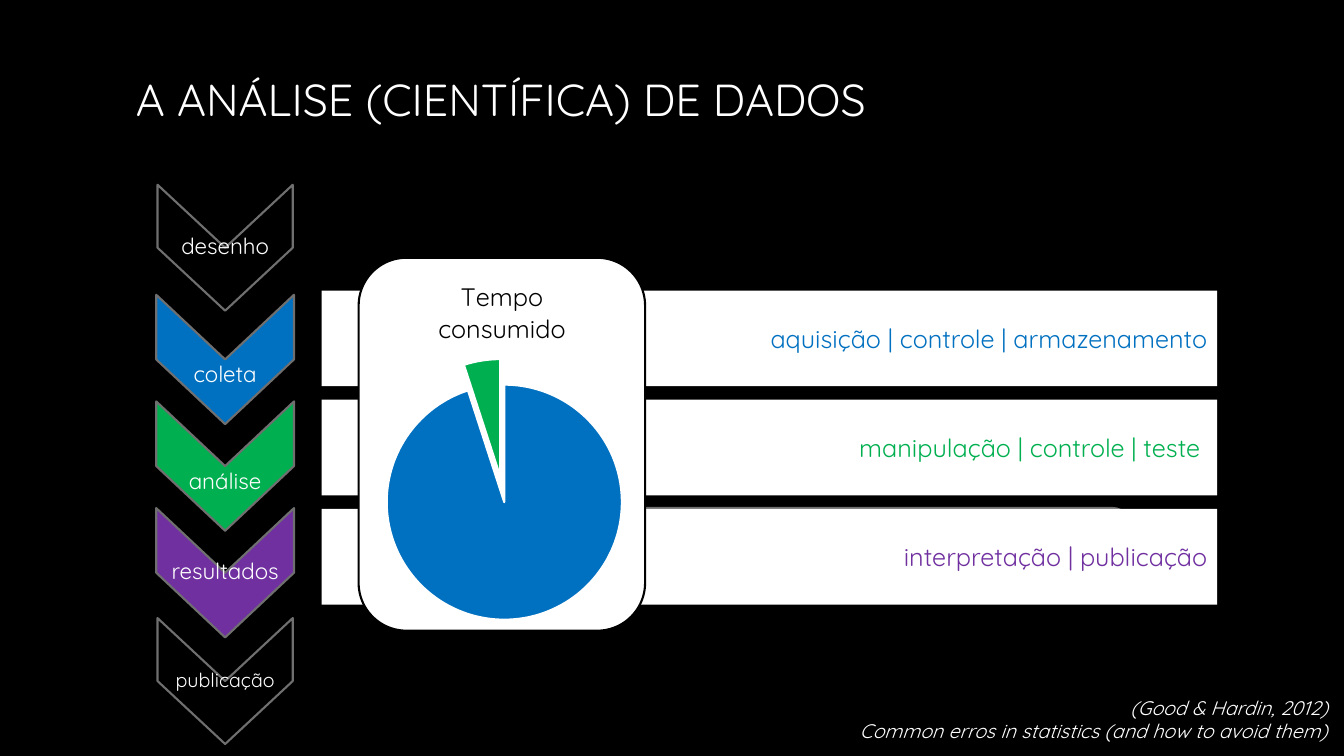
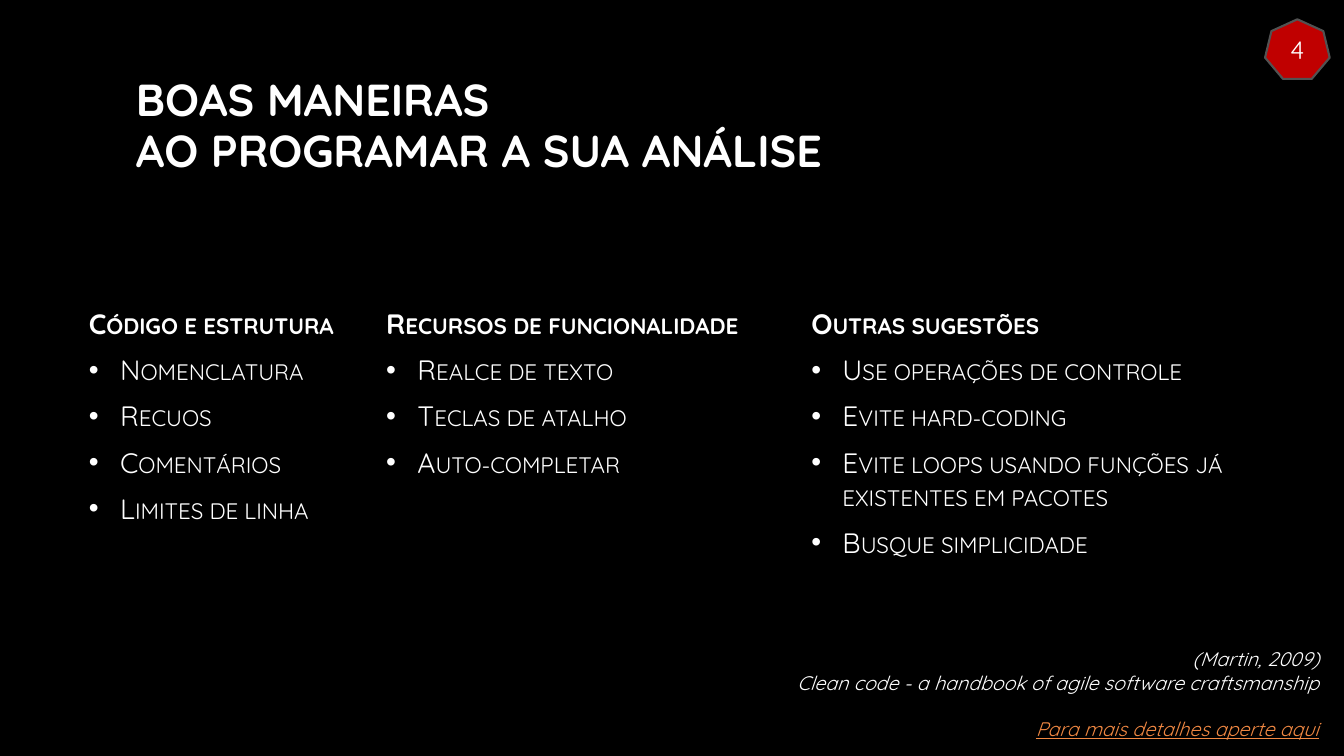
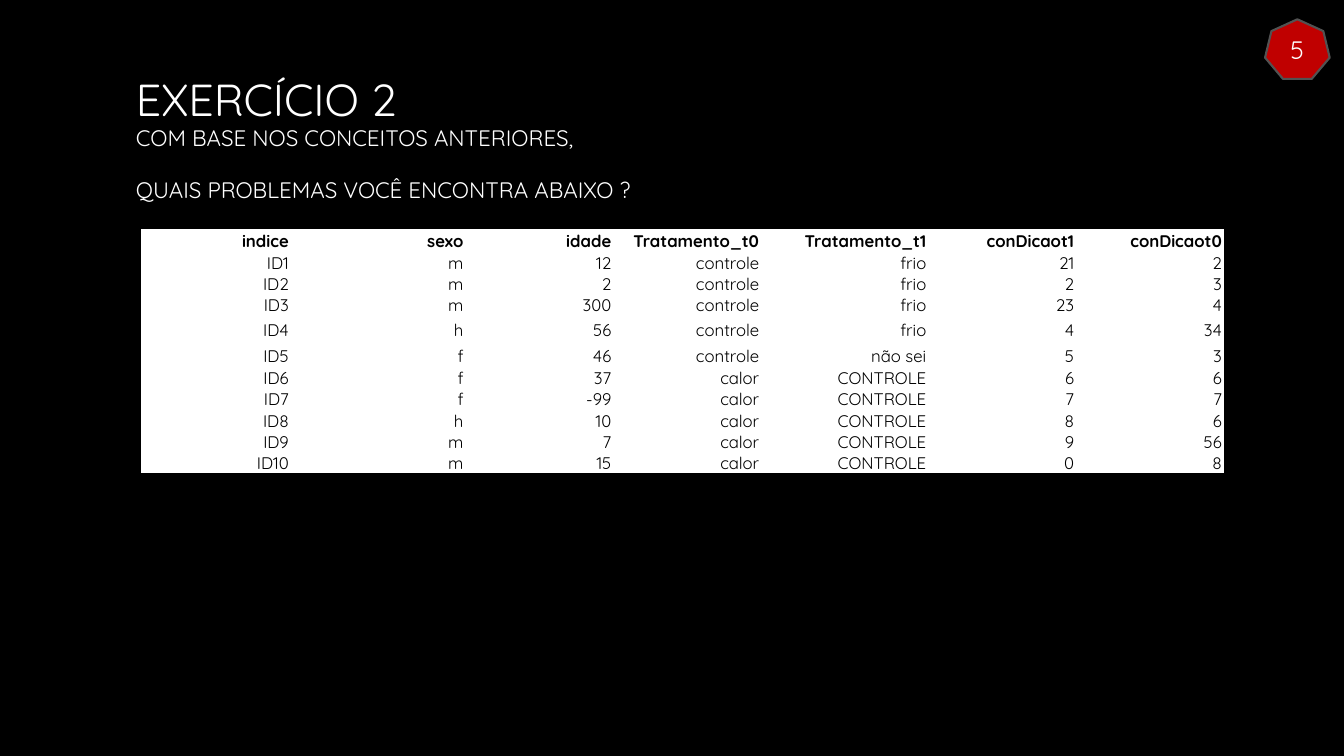
"""Three slides on scientific data analysis, laid out on a 16 by 9 grid."""
from lxml import etree
from pptx import Presentation
from pptx import util as u
from pptx.chart.data import CategoryChartData
from pptx.dml.color import RGBColor
from pptx.enum import chart as charts, shapes, text
from pptx.oxml.ns import qn

BLACK = RGBColor(0x00, 0x00, 0x00)
WHITE = RGBColor(0xFF, 0xFF, 0xFF)
BLUE = RGBColor(0x00, 0x70, 0xC0)
GREEN = RGBColor(0x00, 0xB0, 0x50)
PURPLE = RGBColor(0x70, 0x30, 0xA0)
RED = RGBColor(0xC0, 0x00, 0x00)
ORANGE = RGBColor(0xF2, 0x89, 0x43)
GREY = RGBColor(0x6F, 0x6F, 0x6F)
DARK_GREY = RGBColor(0x52, 0x52, 0x52)
FONT = "Quicksand"
LEFT, CENTER, RIGHT = text.PP_ALIGN.LEFT, text.PP_ALIGN.CENTER, text.PP_ALIGN.RIGHT
MIDDLE, BOTTOM = text.MSO_ANCHOR.MIDDLE, text.MSO_ANCHOR.BOTTOM
KIND = shapes.MSO_SHAPE

prs = Presentation()
prs.slide_width, prs.slide_height = u.Inches(13.33), u.Inches(7.5)
UNIT = prs.slide_width / 16
prs.slide_master.background.fill.solid()
prs.slide_master.background.fill.fore_color.rgb = BLACK


def block(slide, area, kind=None, fill=None, line=None):
    """Add a text box, or a preset shape, on an area given in grid units."""
    area = [round(length * UNIT) for length in area]
    if kind is None:
        added = slide.shapes.add_textbox(*area)
    else:
        added = slide.shapes.add_shape(kind, *area)
        added.shadow.inherit = False
        for part, color in ((added.fill, fill), (added.line.fill, line)):
            if color is None:
                part.background()
            else:
                part.solid()
                part.fore_color.rgb = color
        if line is not None:
            added.line.width = u.Pt(1.5)
    added.text_frame.word_wrap = True
    return added


def write(frame, words, size, color=WHITE, align=LEFT, **style):
    """Add one paragraph with one run to a text frame."""
    paragraph = frame.add_paragraph() if frame.text else frame.paragraphs[0]
    paragraph.alignment = align
    run = paragraph.add_run()
    run.text = words
    run.font.name, run.font.size = FONT, u.Pt(size)
    run.font.color.rgb = color
    for name, value in style.items():
        setattr(run.font, name, value)
    return paragraph


openings = [
    (None, [("A ANÁLISE (CIENTÍFICA) DE DADOS", 32, False, 0)]),
    ("4", [("BOAS MANEIRAS", 32, True, 0),
           ("AO PROGRAMAR A SUA ANÁLISE", 32, True, 0)]),
    ("5", [("EXERCÍCIO 2", 32, False, 0),
           ("COM BASE NOS CONCEITOS ANTERIORES,", 16, False, 0),
           ("QUAIS PROBLEMAS VOCÊ ENCONTRA ABAIXO ?", 16, False, 19)]),
]
slides = []
for badge, title_lines in openings:
    slide = prs.slides.add_slide(prs.slide_layouts[6])
    slides.append(slide)
    title = block(slide, (1.5, 0.8, 13, 2.5)).text_frame
    for i, (words, size, bold, before) in enumerate(title_lines):
        paragraph = write(title, words, size, bold=bold)
        if i:
            paragraph.line_spacing = 0.96
            paragraph.space_before = u.Pt(before)
    if badge:
        heptagon = block(slide, (15.06, 0.23, 0.77, 0.71), KIND.HEPTAGON, RED, DARK_GREY)
        heptagon.text_frame.vertical_anchor = MIDDLE
        write(heptagon.text_frame, badge, 18, align=CENTER)
workflow, manners, exercise = slides

footers = [
    (workflow, (9.65, 8.27, 6.28, 0.59), WHITE, False,
     ["(Good & Hardin, 2012)", "Common erros in statistics (and how to avoid them)"]),
    (manners, (5.41, 7.68, 10.42, 0.61), WHITE, False,
     ["(Martin, 2009)", "Clean code - a handbook of agile software craftsmanship"]),
    (manners, (9.82, 8.48, 6, 0.4), ORANGE, True, ["Para mais detalhes aperte aqui"]),
]
for slide, area, color, underline, lines in footers:
    footer = block(slide, area).text_frame
    footer.vertical_anchor = MIDDLE
    for words in lines:
        write(footer, words, 14, color, RIGHT, italic=True, underline=underline)

steps = [
    ("desenho", 2.95, 1.5, 1.61, None, 16, 0.01),
    ("coleta", 4.28, 1.54, 1.64, BLUE, 16, 0.39),
    ("análise", 5.55, 1.54, 1.64, GREEN, 16, 0.39),
    ("resultados", 6.82, 1.54, 1.64, PURPLE, 16, 0.01),
    ("publicação", 8.11, 1.5, 1.61, None, 14, 0.01),
]
STEP_CENTER = 2.68
for words, middle, length, breadth, fill, size, drop in steps:
    chevron = block(workflow, (STEP_CENTER - length / 2, middle - breadth / 2, length, breadth),
                    KIND.CHEVRON, fill, GREY)
    chevron.rotation = 90
    label = block(workflow, (STEP_CENTER - breadth / 2, middle - length / 2,
                             breadth, length)).text_frame
    label.margin_left = label.margin_right = label.margin_bottom = u.Inches(0.01)
    label.margin_top = round(drop * UNIT)
    label.vertical_anchor = MIDDLE
    write(label, words, size, align=CENTER).line_spacing = 0.9

backing = block(workflow, (8.81, 2.44, 1, 8.22), KIND.ROUND_2_SAME_RECTANGLE, WHITE, GREY)
backing.rotation = 90
tasks = [
    ("aquisição | controle | armazenamento", BLUE),
    ("manipulação | controle | teste ", GREEN),
    ("interpretação | publicação", PURPLE),
]
for i, (words, color) in enumerate(tasks):
    bar = block(workflow, (3.83, 3.46 + 1.3 * i, 10.66, 1.14), KIND.RECTANGLE, WHITE)
    bar.text_frame.vertical_anchor = MIDDLE
    write(bar.text_frame, words, 18, color, RIGHT)

block(workflow, (4.27, 3.07, 3.41, 4.44), KIND.ROUNDED_RECTANGLE, WHITE, BLACK)
time_data = CategoryChartData()
time_data.categories = ["1", "2", "3"]
time_data.add_series("Series 1", (95, 5, 0))
pie_area = [round(length * UNIT) for length in (3.88, 3.07, 4.2, 4.45)]
pie = workflow.shapes.add_chart(charts.XL_CHART_TYPE.PIE, *pie_area, time_data).chart
pie.has_legend = False
pie.font.name, pie.font.size, pie.font.color.rgb = FONT, u.Pt(10), WHITE
for words in ("Tempo", "consumido"):
    write(pie.chart_title.text_frame, words, 18, BLACK, CENTER, bold=False)
pie.plots[0].vary_by_categories = True
spent = pie.plots[0].series[0]
for i, (fill, edge) in enumerate(((BLUE, WHITE), (GREEN, WHITE), (PURPLE, PURPLE))):
    slice_format = spent.points[i].format
    slice_format.fill.solid()
    slice_format.fill.fore_color.rgb = fill
    slice_format.line.color.rgb = edge
    slice_format.line.width = u.Pt(1.5)
explosion = etree.Element(qn("c:explosion"), val="11")
spent._element.find(qn("c:dPt")).addprevious(explosion)

layouts = [
    (pie.chart_title._element, 1, {"x": 0.31, "y": 0.05}),
    (pie._chartSpace.chart.plotArea, 0, {"x": 0.13, "y": 0.27, "w": 0.74, "h": 0.7}),
]
for owner, position, shares in layouts:
    for old in owner.findall(qn("c:layout")):
        owner.remove(old)
    layout = etree.Element(qn("c:layout"))
    manual = etree.SubElement(layout, qn("c:manualLayout"))
    if "w" in shares:
        etree.SubElement(manual, qn("c:layoutTarget"), val="inner")
    for side in "xy":
        etree.SubElement(manual, qn(f"c:{side}Mode"), val="edge")
    for side, share in shares.items():
        etree.SubElement(manual, qn(f"c:{side}"), val=str(share))
    owner.insert(position, layout)

advice = [
    (0.94, 3.28, "Código e estrutura",
     ["Nomenclatura", "Recuos", "Comentários", "Limites de linha"]),
    (4.48, 4.79, "Recursos de funcionalidade",
     ["Realce de texto", "Teclas de atalho", "Auto-completar"]),
    (9.54, 5.3, "Outras sugestões",
     ["Use operações de controle", "Evite hard-coding",
      "Evite loops usando funções já existentes em pacotes", "Busque simplicidade"]),
]
INDENT = u.Inches(0.31)
for left, width, heading, items in advice:
    panel = block(manners, (left, 3.59, width, 3.49), KIND.RECTANGLE, BLACK, BLACK).text_frame
    panel.vertical_anchor = text.MSO_ANCHOR.TOP
    for i, words in enumerate([heading] + items):
        paragraph = write(panel, words, 20, bold=i == 0)
        paragraph.runs[0].font._element.set("cap", "small")
        paragraph.space_after = u.Pt(6)
        if i:
            paragraph.space_before = u.Pt(3)
            properties = paragraph._p.get_or_add_pPr()
            properties.set("marL", str(INDENT))
            properties.set("indent", str(-INDENT))
            etree.SubElement(properties, qn("a:buFont"), typeface="Arial")
            etree.SubElement(properties, qn("a:buChar"), char="•")

records = [
    ("indice", "sexo", "idade", "Tratamento_t0", "Tratamento_t1", "conDicaot1", "conDicaot0"),
    ("ID1", "m", "12", "controle", "frio", "21", "2"),
    ("ID2", "m", "2", "controle", "frio", "2", "3"),
    ("ID3", "m", "300", "controle", "frio", "23", "4"),
    ("ID4", "h", "56", "controle", "frio", "4", "34"),
    ("ID5", "f", "46", "controle", "não sei", "5", "3"),
    ("ID6", "f", "37", "calor", "CONTROLE", "6", "6"),
    ("ID7", "f", "-99", "calor", "CONTROLE", "7", "7"),
    ("ID8", "h", "10", "calor", "CONTROLE", "8", "6"),
    ("ID9", "m", "7", "calor", "CONTROLE", "9", "56"),
    ("ID10", "m", "15", "calor", "CONTROLE", "0", "8"),
]
widths = [1.76, 2.08, 1.76, 1.76, 1.99, 1.76, 1.76]
heights = [0.31 if record[0] in ("ID4", "ID5") else 0.25 for record in records]
sample_area = [round(length * UNIT) for length in (1.69, 2.74, sum(widths), sum(heights))]
sample = exercise.shapes.add_table(len(records), len(widths), *sample_area).table
for column, width in zip(sample.columns, widths):
    column.width = round(width * UNIT)
for r, (record, height) in enumerate(zip(records, heights)):
    sample.rows[r].height = round(height * UNIT)
    for c, value in enumerate(record):
        cell = sample.cell(r, c)
        cell.fill.solid()
        cell.fill.fore_color.rgb = WHITE
        cell.margin_left = cell.margin_right = cell.margin_top = u.Inches(0.01)
        cell.margin_bottom = 0
        cell.vertical_anchor = BOTTOM
        write(cell.text_frame, value, 12, BLACK, RIGHT, bold=r == 0)

prs.save("out.pptx")
